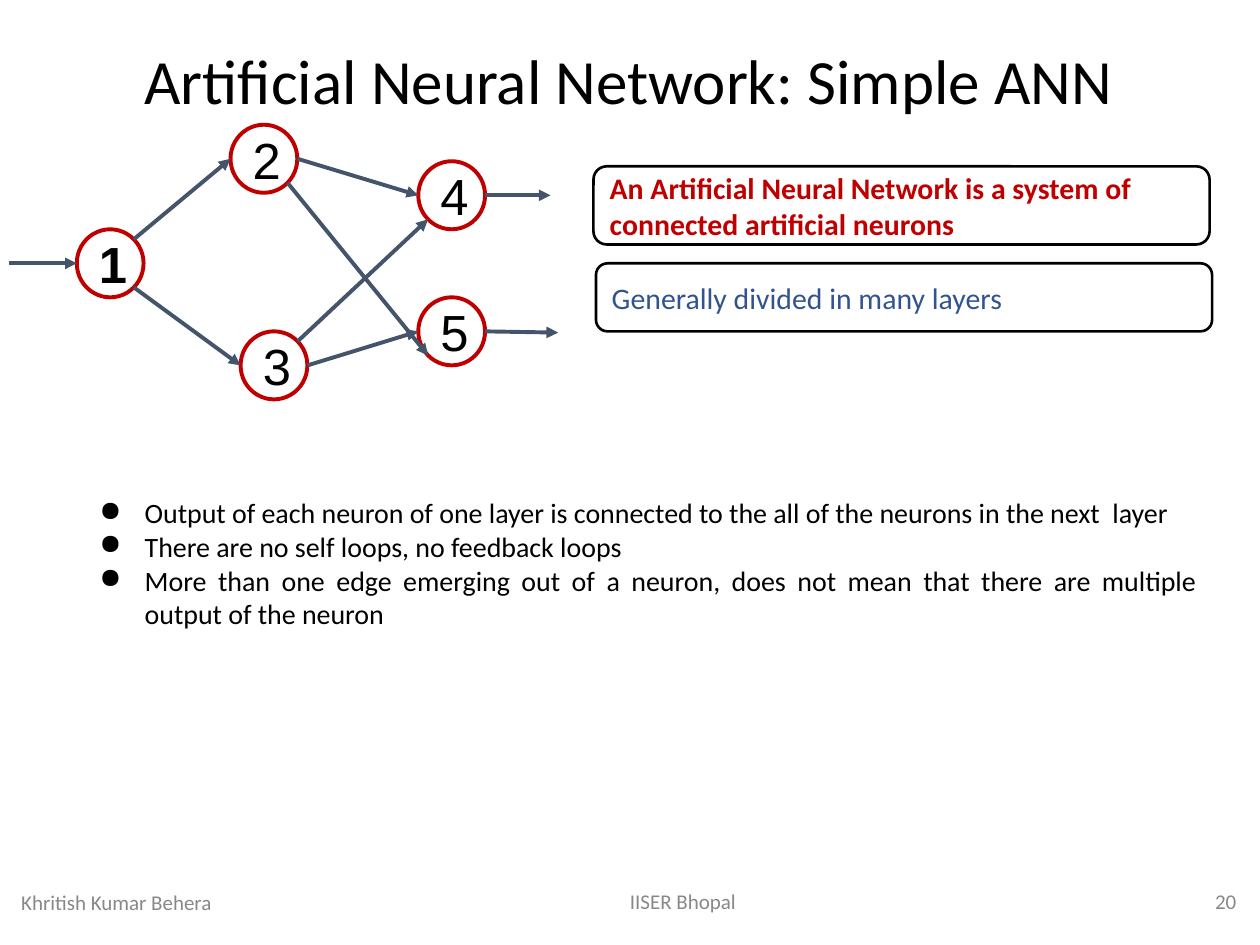
from math import cos, radians, sin

from lxml import etree
from pptx import Presentation
from pptx.dml.color import RGBColor
from pptx.enum.shapes import MSO_CONNECTOR, MSO_SHAPE
from pptx.enum.text import MSO_ANCHOR, PP_ALIGN
from pptx.oxml.ns import qn
from pptx.util import Inches, Pt

LEFT, CENTER, RIGHT, JUSTIFY = PP_ALIGN.LEFT, PP_ALIGN.CENTER, PP_ALIGN.RIGHT, PP_ALIGN.JUSTIFY
TOP, MIDDLE = MSO_ANCHOR.TOP, MSO_ANCHOR.MIDDLE
ELLIPSE, ROUNDED = MSO_SHAPE.OVAL, MSO_SHAPE.ROUNDED_RECTANGLE
STRAIGHT = MSO_CONNECTOR.STRAIGHT

BLACK, WHITE, GREY = "000000", "FFFFFF", "888888"
RED, BLUE, SLATE = "C00000", "31538F", "44546A"

# Content
TITLE = "Artificial Neural Network: Simple ANN"
FOOTERS = [  # text, box, alignment
    ("IISER Bhopal", (3.73, 6.95, 3.38, 0.4), CENTER),
    ("20", (7.66, 6.95, 2.25, 0.4), RIGHT),
    ("Khritish Kumar Behera", (0.07, 6.96, 3.38, 0.4), LEFT),
]
NEURON_W, NEURON_H = 0.53, 0.54
NEURONS = {"1": (0.61, 1.82), "2": (1.83, 0.99), "3": (1.91, 2.63),
           "4": (3.32, 1.28), "5": (3.32, 2.36)}
# Angles on the rim, clockwise from the right
E, SE, SW, W, NE = 0, 45, 135, 180, -45
EDGES = [("1", NE, "2", W), ("1", SE, "3", W), ("2", SE, "5", SW),
         ("2", E, "4", W), ("3", NE, "4", SW), ("3", E, "5", W)]
INPUT_START = (0.07, 2.09)
OUTPUT_ENDS = {"4": (4.37, 1.55), "5": (4.43, 2.64)}
CALLOUTS = [  # text, box, colour, bold
    ("An Artificial Neural Network is a system of connected artificial neurons",
     (4.71, 1.32, 4.89, 0.62), RED, True),
    ("Generally divided in many layers", (4.73, 2.09, 4.89, 0.54), BLUE, False),
]
BULLETS = [
    "Output of each neuron of one layer is connected to the all of the neurons in the next  layer",
    "There are no self loops, no feedback loops",
    "More than one edge emerging out of a neuron, does not mean that there are multiple output of the neuron",
]


def rgb(value):
    return RGBColor.from_string(value)


def write(sp, lines, size, color, align=LEFT, anchor=MIDDLE, font="Calibri",
          bold=False, pad=0.1, bullet=None):
    tf = sp.text_frame
    tf.word_wrap = True
    tf.vertical_anchor = anchor
    tf.margin_left = tf.margin_right = Inches(0.1)
    tf.margin_top = tf.margin_bottom = Inches(pad)
    tf.text = "\n".join(lines)
    for p in tf.paragraphs:
        p.alignment = align
        if bullet:
            pPr = p._p.get_or_add_pPr()
            pPr.set("marL", str(Inches(0.5)))
            pPr.set("indent", str(Inches(-0.36)))
            bu_clr = etree.SubElement(pPr, qn("a:buClr"))
            etree.SubElement(bu_clr, qn("a:srgbClr"), val=color)
            etree.SubElement(pPr, qn("a:buChar"), char=bullet)
        for r in p.runs:
            r.font.name, r.font.size, r.font.bold = font, Pt(size), bold
            r.font.color.rgb = rgb(color)


def add_text(box, lines, *args, **kwargs):
    write(s.shapes.add_textbox(*map(Inches, box)), lines, *args, **kwargs)


def add_shape(kind, box, line, width, fill=None):
    sp = s.shapes.add_shape(kind, *map(Inches, box))
    sp.shadow.inherit = False
    if fill:
        sp.fill.solid()
        sp.fill.fore_color.rgb = rgb(fill)
    else:
        sp.fill.background()
    sp.line.color.rgb = rgb(line)
    sp.line.width = Pt(width)
    return sp


def add_arrow(start, end):
    cx = s.shapes.add_connector(STRAIGHT, *map(Inches, start + end))
    cx.line.color.rgb = rgb(SLATE)
    cx.line.width = Pt(2.25)
    etree.SubElement(cx.line._get_or_add_ln(), qn("a:tailEnd"), type="triangle")
    etree.SubElement(cx._element.spPr, qn("a:effectLst"))


def rim(name, angle):
    x, y = NEURONS[name]
    a = radians(angle)
    return x + NEURON_W / 2 * (1 + cos(a)), y + NEURON_H / 2 * (1 + sin(a))


prs = Presentation()
prs.slide_width, prs.slide_height = Inches(10), Inches(7.5)
s = prs.slides.add_slide(prs.slide_layouts[6])

# Title and footers
add_text((0.07, 0.28, 9.84, 0.71), [TITLE], 36, BLACK, CENTER, TOP, pad=0.05)
for text, box, align in FOOTERS:
    add_text(box, [text], 12, GREY, align, pad=0.05)

# Neurons
for name, corner in NEURONS.items():
    sp = add_shape(ELLIPSE, corner + (NEURON_W, NEURON_H), RED, 2.25)
    write(sp, [name], 29, BLACK, CENTER, font="Arial", bold=name == "1")

# Connections, then the network's input and outputs
for source, leave, target, enter in EDGES:
    add_arrow(rim(source, leave), rim(target, enter))
add_arrow(INPUT_START, rim("1", W))
for name, end in OUTPUT_ENDS.items():
    add_arrow(rim(name, E), end)

# Callouts
for text, box, color, bold in CALLOUTS:
    sp = add_shape(ROUNDED, box, BLACK, 1.5, WHITE)
    sp.adjustments[0] = 0.17
    write(sp, [text], 17, color, bold=bold)

# Bullets
add_text((0.55, 3.65, 9.05, 1.64), BULLETS, 16, BLACK, JUSTIFY, bullet="●")

prs.save("out.pptx")
